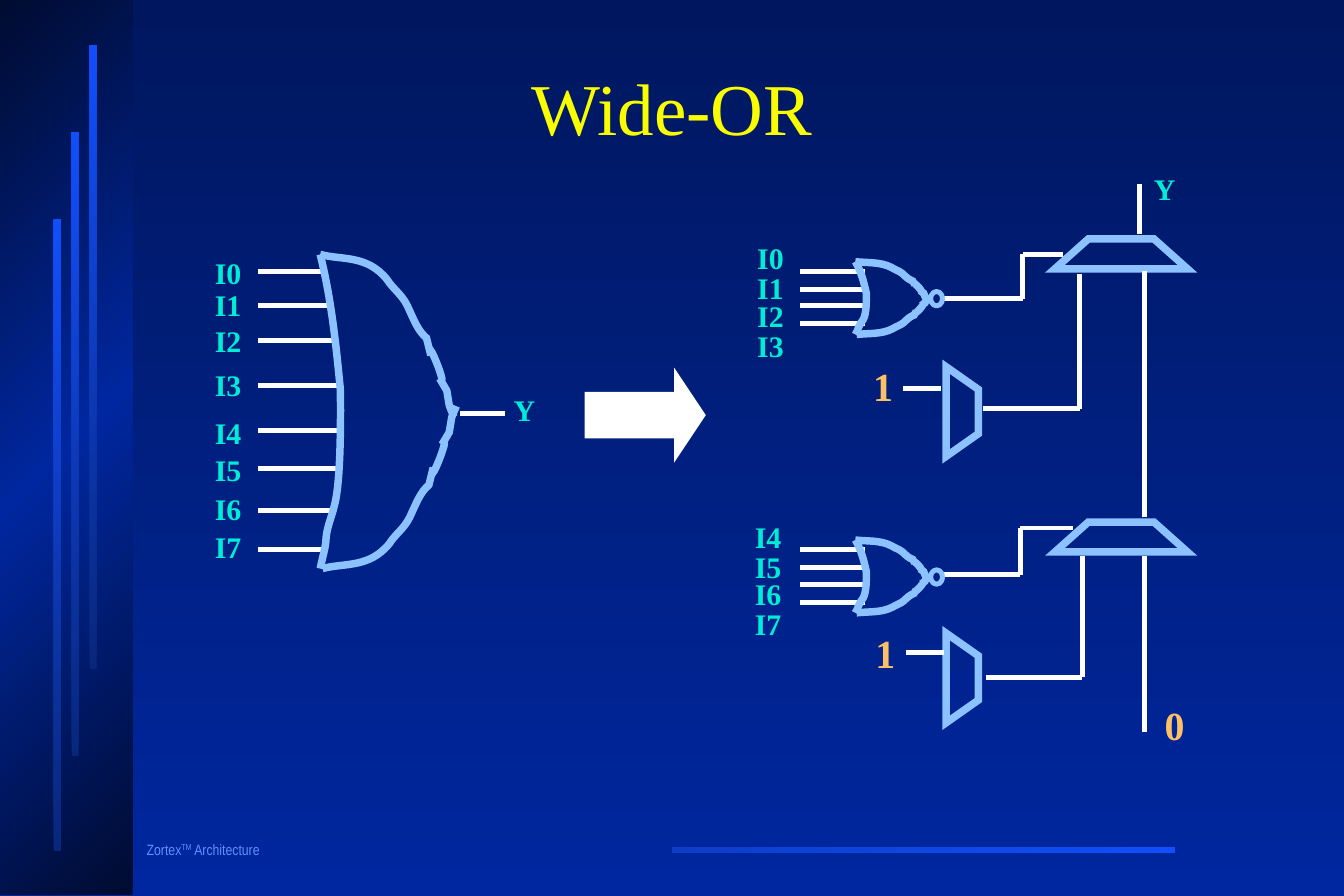
from copy import deepcopy

from lxml import etree
from pptx import Presentation
from pptx.dml.color import RGBColor
from pptx.enum.shapes import MSO_CONNECTOR, MSO_SHAPE
from pptx.enum.text import MSO_ANCHOR, MSO_AUTO_SIZE, PP_ALIGN
from pptx.oxml.ns import qn
from pptx.util import Pt

LINE = MSO_CONNECTOR.STRAIGHT
RECT, OVAL, ARROW = MSO_SHAPE.RECTANGLE, MSO_SHAPE.OVAL, MSO_SHAPE.RIGHT_ARROW
MIDDLE, CENTER = MSO_ANCHOR.MIDDLE, PP_ALIGN.CENTER
FIXED, GROW = MSO_AUTO_SIZE.NONE, MSO_AUTO_SIZE.SHAPE_TO_FIT_TEXT

WHITE, SKY = "FFFFFF", "8CC2FF"
SERIF = "Times New Roman"
TITLE = {"name": SERIF, "size": Pt(44), "bold": False, "color": "FAFD00"}
PIN = {"name": SERIF, "size": Pt(18), "bold": True, "color": "00ECD6"}
BIT = {"name": SERIF, "size": Pt(24), "bold": True, "color": "FEC066"}
FOOT = {"name": "Arial Narrow", "size": Pt(9), "color": "618FFD"}

# Bezier points of an OR gate: a start, then three points for each curve
GATE_H = 263
TOP = [(0, 0), (18, 5), (39, 0), (56, 21), (61, 29), (68, 33), (73, 43),
       (79, 56), (82, 64), (89, 70), (98, 105), (86, 62), (98, 92),
       (109, 121), (92, 90), (106, 114), (109, 131), (107, 124), (112, 136)]
LOW = [(x + 2, GATE_H - y) for x, y in TOP]
BACK = [(0, 0), (9, 36), (13, 72), (17, 114), (17, 125), (18, 188), (12, 210),
        (10, 219), (6, 227), (5, 237), (5, 241), (4, 246), (3, 250),
        (2, 254), (0, 263), (0, 263)]


def px(*vals):
    """Turn px (100 to the inch) into EMU."""
    return [round(v * 9144) for v in vals]


def rgb(code):
    return RGBColor.from_string(code)


def shade(fill, angle, *codes):
    """Fill with evenly spaced gradient stops."""
    fill.gradient()
    fill.gradient_angle = angle
    first = fill.gradient_stops[0]._gs
    for _ in codes[2:]:
        first.addnext(deepcopy(first))
    for i, (stop, code) in enumerate(zip(fill.gradient_stops, codes)):
        stop.position = i / (len(codes) - 1)
        stop.color.rgb = rgb(code)


def bend(shape):
    """Turn each three line segments of an outline into one Bezier curve."""
    track = next(shape._element.iter(qn("a:path")))
    legs = track.findall(qn("a:lnTo"))
    for i in range(0, len(legs), 3):
        arc = etree.SubElement(track, qn("a:cubicBezTo"))
        for leg in legs[i:i + 3]:
            arc.append(leg[0])
            track.remove(leg)


class Sketch:
    def __init__(self, slide):
        self.slide = slide
        self.shapes = slide.shapes

    def stroke(self, shape, code, width, sharp=False):
        shape.line.color.rgb = rgb(code)
        shape.line.width = Pt(width)
        if sharp:
            edge = shape._element.spPr.find(qn("a:ln"))
            etree.SubElement(edge, qn("a:miter")).set("lim", "800000")

    def style(self, run, look):
        for key, val in look.items():
            if key == "color":
                run.font.color.rgb = rgb(val)
            else:
                setattr(run.font, key, val)

    def title(self, text, *box):
        shape = self.shapes.title
        shape.left, shape.top, shape.width, shape.height = px(*box)
        frame = shape.text_frame
        frame.auto_size, frame.vertical_anchor = FIXED, MIDDLE
        para = frame.paragraphs[0]
        para.alignment, para.line_spacing = CENTER, 0.85
        run = para.add_run()
        run.text = text
        self.style(run, TITLE)

    def text(self, parts, look, *box, wrap=False, space=1.0):
        """Add a text box; every second part is superscript."""
        frame = self.shapes.add_textbox(*px(*box)).text_frame
        frame.word_wrap, frame.auto_size = wrap, GROW
        para = frame.paragraphs[0]
        para.line_spacing = space
        for i, part in enumerate(parts):
            run = para.add_run()
            run.text = part
            self.style(run, look)
            if i % 2:
                run._r.get_or_add_rPr().set("baseline", "30000")

    def label(self, name, x, y):
        self.text([name], PIN, x, y, 38 if name == "Y" else 42, 40)

    def bit(self, name, x, y):
        self.text([name], BIT, x, y, 36, 50)

    def shape(self, kind, *box):
        shape = self.shapes.add_shape(kind, *px(*box))
        shape.shadow.inherit = False
        return shape

    def bar(self, box, *codes):
        shape = self.shape(RECT, *box)
        shade(shape.fill, 135, *codes)
        shape.line.fill.background()

    def arrow(self, *box):
        shape = self.shape(ARROW, *box)
        shape.adjustments[0], shape.adjustments[1] = 0.5, 0.333
        shape.fill.solid()
        shape.fill.fore_color.rgb = rgb(WHITE)
        self.stroke(shape, WHITE, 1, sharp=True)

    def bubble(self, *box):
        shape = self.shape(OVAL, *box)
        shape.fill.background()
        self.stroke(shape, SKY, 3)

    def wire(self, *pts):
        for a, b in zip(pts, pts[1:]):
            line = self.shapes.add_connector(LINE, *px(*a, *b))
            self.stroke(line, WHITE, 3)
            etree.SubElement(line._element.spPr, qn("a:effectLst"))

    def free(self, pts, close=False):
        pts = [px(*p) for p in pts]
        pen = self.shapes.build_freeform(*pts[0])
        pen.add_line_segments(pts[1:], close=close)
        shape = pen.convert_to_shape()
        shape.shadow.inherit = False
        shape.fill.background()
        self.stroke(shape, SKY, 4.5, sharp=True)
        return shape

    def gate(self, x, y, wide=1, high=1):
        for part in (TOP, LOW, BACK):
            bend(self.free([(x + a * wide, y + b * high) for a, b in part]))

    def mux(self, x, y):
        self.free([(x, y + 25), (x + 111, y + 25), (x + 83, y), (x + 28, y)], True)

    def side_mux(self, x, y):
        self.free([(x, y), (x, y + 75), (x + 27, y + 56), (x + 27, y + 19)], True)


def main():
    deck = Presentation()
    deck.slide_width, deck.slide_height = px(1125, 750)
    art = Sketch(deck.slides.add_slide(deck.slide_layouts[5]))
    shade(art.slide.background.fill, 270, "00175F", "00279F")

    # Frame of the slide
    art.text(["Zortex", "TM", " Architecture"], FOOT, 113, 700, 150, 23,
             wrap=True, space=0.9)
    art.bar((563, 709, 421, 5), "114FFB", "0D3EC8")
    art.bar((0, 0, 111, 749), "000B2F", "00279F", "000B2F")
    for x, y, tall in ((45, 184, 528), (60, 111, 522), (75, 38, 522)):
        art.bar((x, y, 6, tall), "08277C", "114FFB")
    art.title("Wide-OR", 116, 32, 893, 125)

    # Eight-input gate: wire y, wire end, label y
    pins = ((227, 270, 208), (256, 274, 235), (285, 278, 265), (323, 282, 302),
            (360, 282, 342), (392, 282, 373), (427, 278, 406), (460, 270, 438))
    for i, (y, end, top) in enumerate(pins):
        art.wire((216, y), (end, y))
        art.label(f"I{i}", 170, top)
    art.wire((385, 346), (423, 346))
    art.label("Y", 420, 323)
    art.arrow(490, 310, 100, 75)
    art.gate(268, 213)

    # Multiplexers and the wires between them
    for y in (200, 437):
        art.mux(883, y)
    for y in (307, 530):
        art.side_mux(792, y)
    art.wire((790, 250), (856, 250), (856, 213), (890, 213))
    art.wire((788, 481), (854, 481), (854, 442), (898, 442))
    art.wire((756, 325), (788, 325))
    art.wire((758, 546), (790, 546))
    art.wire((823, 342), (904, 342), (904, 229))
    art.wire((825, 567), (906, 567), (906, 465))
    art.wire((958, 613), (958, 465))
    art.wire((958, 433), (958, 227))
    art.wire((954, 196), (954, 154))
    art.label("Y", 956, 138)
    art.bit("1", 721, 298)
    art.bit("1", 723, 521)
    art.bit("0", 965, 582)

    # Two four-input gates, one above the other
    for stage, drop in enumerate((0, 233)):
        for i, top in enumerate((196, 221, 244, 269)):
            y = round(227 + drop + i * 14.7)
            art.wire((670, y), (724, y))
            art.label(f"I{stage * 4 + i}", 624 - 2 * stage, top + drop)
        art.gate(716, 219 + drop, 0.54, 0.232)
        art.bubble(779, 244 + drop, 10, 12)
    deck.save("out.pptx")


if __name__ == "__main__":
    main()
